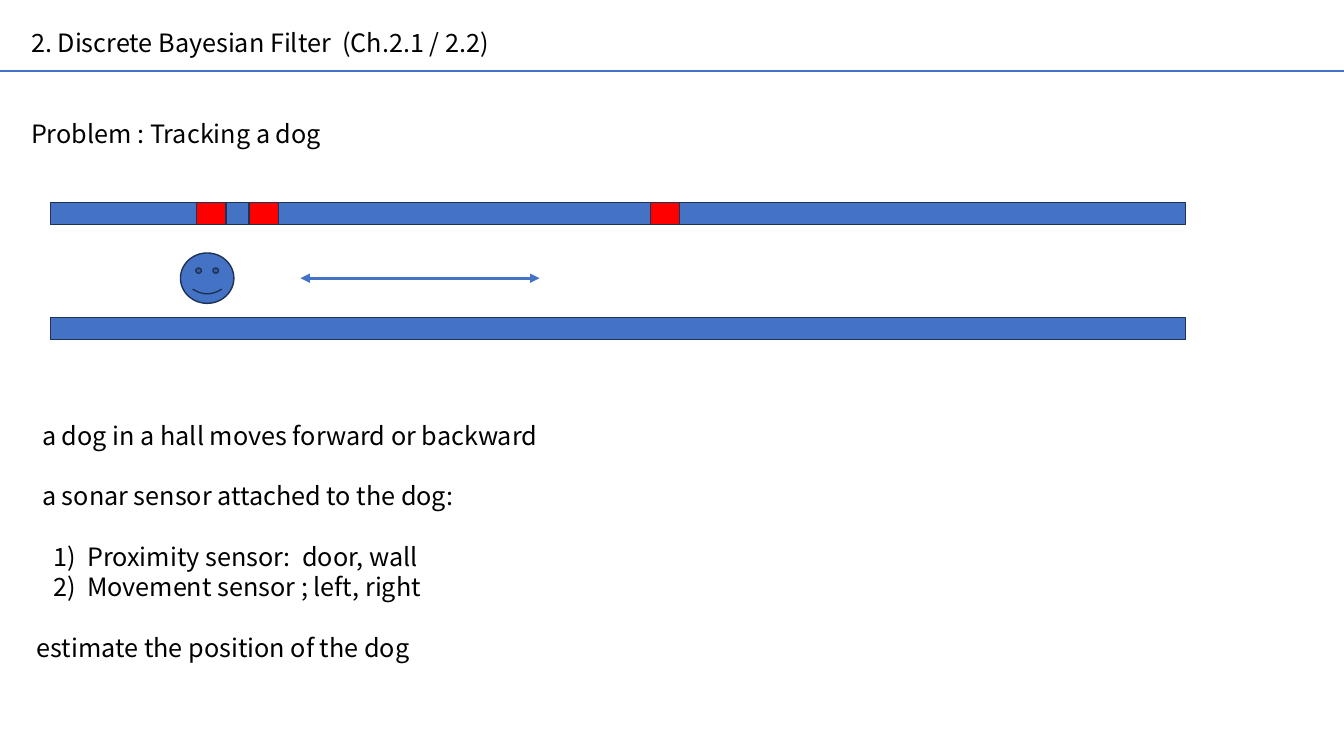
from lxml import etree
from pptx import Presentation
from pptx.dml.color import RGBColor
from pptx.enum import shapes, text
from pptx.oxml import ns
from pptx.util import Inches, Pt

BLUE = RGBColor(0x44, 0x72, 0xC4)
OUTLINE = RGBColor(0x1E, 0x32, 0x56)
RED = RGBColor(0xFF, 0x00, 0x00)
BLACK = RGBColor(0x00, 0x00, 0x00)
FONT = "Noto Sans CJK KR"
LINE_PITCH = 21.6  # points
INDENT_STEP = 0.055

# (text, skipped lines before it, indent steps)
NOTES = [
    ("2. Discrete Bayesian Filter  (Ch.2.1 / 2.2)", 0, 0),
    ("Problem : Tracking a dog", 2, 0),
    ("a dog in a hall moves forward or backward", 9, 2),
    ("a sonar sensor attached to the dog:", 1, 2),
    ("1)  Proximity sensor:  door, wall", 1, 4),
    ("2)  Movement sensor ; left, right", 0, 4),
    ("estimate the position of the dog", 1, 1),
]


def add_line(slide, left, right, y, width, arrows=False):
    """Draw a horizontal blue line, optionally with an arrowhead at each end."""
    line = slide.shapes.add_connector(
        shapes.MSO_CONNECTOR.STRAIGHT, Inches(left), Inches(y), Inches(right), Inches(y))
    line.line.color.rgb = BLUE
    line.line.width = Pt(width)
    properties = line._element.spPr
    if arrows:
        outline = properties.find(ns.qn("a:ln"))
        for end in ("a:headEnd", "a:tailEnd"):
            etree.SubElement(outline, ns.qn(end), type="triangle")
    etree.SubElement(properties, ns.qn("a:effectLst"))


def add_block(slide, kind, left, top, width, height, color=BLUE):
    shape = slide.shapes.add_shape(
        kind, Inches(left), Inches(top), Inches(width), Inches(height))
    shape.shadow.inherit = False
    shape.fill.solid()
    shape.fill.fore_color.rgb = color
    shape.line.color.rgb = OUTLINE
    shape.line.width = Pt(1)


def add_notes(slide, left, top, width, height):
    box = slide.shapes.add_textbox(
        Inches(left), Inches(top), Inches(width), Inches(height))
    frame = box.text_frame
    frame.word_wrap = True
    frame.auto_size = text.MSO_AUTO_SIZE.SHAPE_TO_FIT_TEXT
    for index, (wording, skipped, steps) in enumerate(NOTES):
        paragraph = frame.add_paragraph() if index else frame.paragraphs[0]
        paragraph.line_spacing = Pt(LINE_PITCH)
        paragraph.space_before = Pt(skipped * LINE_PITCH)
        paragraph._p.get_or_add_pPr().set("marL", str(Inches(steps * INDENT_STEP)))
        run = paragraph.add_run()
        run.text = wording
        for name, value in {"name": FONT, "size": Pt(18)}.items():
            setattr(run.font, name, value)
        run.font.color.rgb = BLACK


def add_hallway(slide, left, top, width):
    """Draw two walls, the doors in the upper one, and the dog between them."""
    rectangle = shapes.MSO_SHAPE.RECTANGLE
    wall_height = 0.22
    for offset in (0, 1.14):
        add_block(slide, rectangle, left, top + offset, width, wall_height)
    for offset in (1.45, 1.97, 5.95):
        add_block(slide, rectangle, left + offset, top, 0.29, wall_height, RED)
    add_block(slide, shapes.MSO_SHAPE.SMILEY_FACE, left + 1.29, top + 0.5, 0.53, 0.5)
    add_line(slide, left + 2.48, left + 4.85, top + 0.75, 2.25, arrows=True)


def main():
    presentation = Presentation()
    presentation.slide_width = Inches(13.33)
    presentation.slide_height = Inches(7.5)
    slide = presentation.slides.add_slide(presentation.slide_layouts[6])
    add_line(slide, 0, 13.33, 0.7, 1.5)
    add_notes(slide, 0.21, 0.22, 12.31, 6.46)
    add_hallway(slide, 0.5, 2.01, 11.26)
    presentation.save("out.pptx")


if __name__ == "__main__":
    main()
